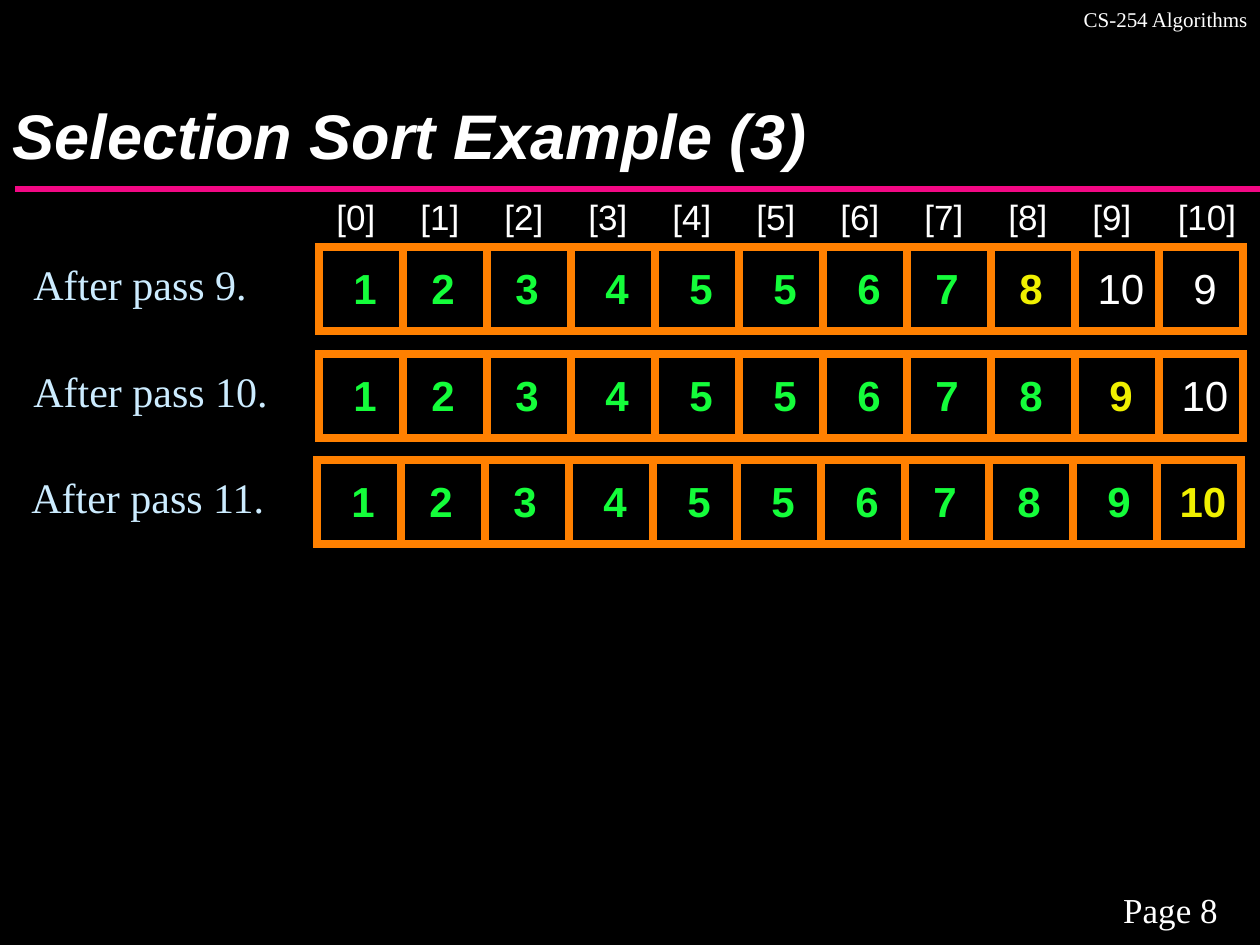
from dataclasses import dataclass

from lxml import etree
from pptx import Presentation
from pptx import util as u
from pptx.dml.color import RGBColor
from pptx.enum import shapes, text
from pptx.oxml.ns import qn

PX = u.Inches(1) / 126
LEFT, CENTER, RIGHT = text.PP_ALIGN.LEFT, text.PP_ALIGN.CENTER, text.PP_ALIGN.RIGHT


def px(length):
    return u.Emu(round(length * PX))


@dataclass(frozen=True)
class Theme:
    background: str = "000000"
    plain: str = "FFFFFF"
    rule: str = "F20884"
    label: str = "CCECFF"
    cell: str = "FF8000"
    placed: str = "14FD3A"
    newest: str = "F0F000"
    sans: str = "Arial"
    serif: str = "Times New Roman"
    title_size: int = 36
    value_size: int = 24
    note_size: int = 20
    course_size: int = 12
    rule_width: float = 3.75
    cell_width: float = 4.5


class SlideBuilder:
    def __init__(self, slide, theme):
        self.slide = slide
        self.theme = theme
        fill = slide.background.fill
        fill.solid()
        fill.fore_color.rgb = RGBColor.from_string(theme.background)

    def group(self):
        return self.slide.shapes.add_group_shape().shapes

    def run(self, paragraph, words, size, font, color, bold=False, italic=False):
        run = paragraph.add_run()
        run.text = words
        run.font.size = u.Pt(size)
        run.font.name = font
        run.font.bold = bold
        run.font.italic = italic
        run.font.color.rgb = RGBColor.from_string(color)

    def title(self, words, box):
        title = self.slide.shapes.title
        title.left, title.top, title.width, title.height = map(px, box)
        frame = title.text_frame
        frame.auto_size = text.MSO_AUTO_SIZE.NONE
        frame.vertical_anchor = text.MSO_ANCHOR.BOTTOM
        paragraph = frame.paragraphs[0]
        paragraph.alignment = LEFT
        paragraph.line_spacing = 0.89
        self.run(paragraph, words, self.theme.title_size, self.theme.sans,
                 self.theme.plain, bold=True, italic=True)

    def rule(self, start, end):
        line = self.slide.shapes.add_connector(
            shapes.MSO_CONNECTOR.STRAIGHT, *map(px, start + end))
        line.line.color.rgb = RGBColor.from_string(self.theme.rule)
        line.line.width = u.Pt(self.theme.rule_width)
        etree.SubElement(line._element.spPr, qn("a:effectLst"))

    def label(self, words, box, size, font, color, align=LEFT,
              anchor=text.MSO_ANCHOR.MIDDLE, wrap=True, parent=None):
        parent = self.slide.shapes if parent is None else parent
        frame = parent.add_textbox(*map(px, box)).text_frame
        frame.word_wrap = wrap
        frame.auto_size = text.MSO_AUTO_SIZE.SHAPE_TO_FIT_TEXT
        frame.vertical_anchor = anchor
        frame.paragraphs[0].alignment = align
        self.run(frame.paragraphs[0], words, size, font, color)

    def cell(self, parent, box):
        """Add an unfilled square whose outline has sharp corners."""
        cell = parent.add_shape(shapes.MSO_SHAPE.RECTANGLE, *map(px, box))
        cell.shadow.inherit = False
        cell.fill.background()
        cell.line.color.rgb = RGBColor.from_string(self.theme.cell)
        cell.line.width = u.Pt(self.theme.cell_width)
        outline = cell._element.spPr.find(qn("a:ln"))
        etree.SubElement(outline, qn("a:miter"), lim="800000")

    def value(self, parent, number, box, color, bold, right_inset):
        frame = parent.add_textbox(*map(px, box)).text_frame
        frame.word_wrap = False
        frame.vertical_anchor = text.MSO_ANCHOR.MIDDLE
        frame.margin_left = frame.margin_top = frame.margin_bottom = 0
        frame.margin_right = px(right_inset)
        frame.paragraphs[0].alignment = CENTER
        self.run(frame.paragraphs[0], str(number), self.theme.value_size,
                 self.theme.sans, color, bold)


CELL = 84
ROW_WIDTH = 11
NUDGED_COLUMNS = {1, 2, 7, 8}
# pass number, left, top, array after the pass
PASSES = [
    (9, 319, 247, [1, 2, 3, 4, 5, 5, 6, 7, 8, 10, 9]),
    (10, 319, 354, [1, 2, 3, 4, 5, 5, 6, 7, 8, 9, 10]),
    (11, 317, 460, [1, 2, 3, 4, 5, 5, 6, 7, 8, 9, 10]),
]


def add_indices(builder):
    theme, group = builder.theme, builder.group()
    for index in range(ROW_WIDTH):
        left, width = (324 + index * CELL, 64) if index < 10 else (1163, 88)
        builder.label(f"[{index}]", (left, 189, width, 54), theme.note_size, theme.sans,
                      theme.plain, CENTER, wrap=False, parent=group)


def add_pass(builder, number, left, top, array):
    """Draw one array row; the pass has just placed the item at number - 1."""
    theme, group = builder.theme, builder.group()
    builder.label(f"After pass {number}.", (left - 298, top + 5, 283, 63),
                  theme.value_size, theme.serif, theme.label, parent=group)
    for column in range(ROW_WIDTH):
        builder.cell(group, (left + column * CELL, top, CELL, CELL))
    newest = number - 1
    for column, item in enumerate(array):
        color = (theme.placed if column < newest
                 else theme.newest if column == newest else theme.plain)
        box = (left + column * CELL + 8, top + 16, 76, 50)
        builder.value(group, item, box, color, column <= newest,
                      12 if column in NUDGED_COLUMNS else 0)


def main():
    deck = Presentation()
    deck.slide_width, deck.slide_height = px(1260), px(945)
    theme = Theme()
    builder = SlideBuilder(deck.slides.add_slide(deck.slide_layouts[5]), theme)
    top = text.MSO_ANCHOR.TOP
    builder.rule((15, 189), (1260, 189))
    builder.label("Page 8", (1081, 882, 179, 54), theme.note_size, theme.serif,
                  theme.plain, CENTER, top)
    builder.label("CS-254 Algorithms", (703, 0, 557, 38), theme.course_size, theme.serif,
                  theme.plain, RIGHT, top)
    builder.title("Selection Sort Example (3)", (0, 0, 1260, 179))
    add_indices(builder)
    for sort_pass in PASSES:
        add_pass(builder, *sort_pass)
    deck.save("out.pptx")


if __name__ == "__main__":
    main()
